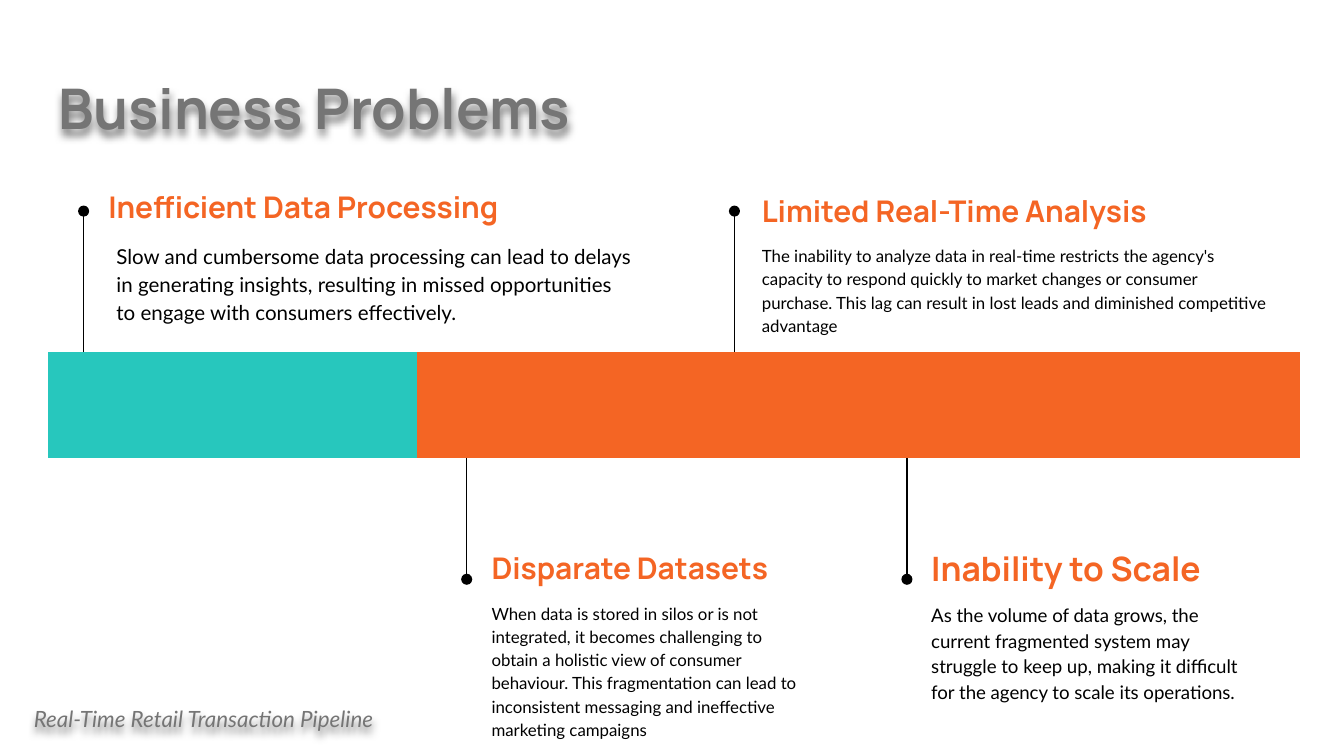
from dataclasses import dataclass

from lxml.etree import SubElement
from pptx import Presentation
from pptx.dml.color import RGBColor
from pptx.enum.shapes import MSO_CONNECTOR as Connector
from pptx.enum.text import MSO_ANCHOR as Anchor, MSO_AUTO_SIZE as AutoSize, PP_ALIGN as Align
from pptx.oxml import parse_xml
from pptx.oxml.ns import nsdecls, qn
from pptx.util import Cm, Pt

COLORS = {
    "teal": "27C7BD",
    "orange": "F46524",
    "grey": "757575",
    "black": "000000",
}
STYLES = {
    "title": {"name": "Manrope", "size": Pt(30), "bold": True},
    "heading": {"name": "Manrope", "bold": True},
    "body": {"name": "Lato"},
    "footer": {"name": "Lato", "size": Pt(12), "italic": True},
}
INSET = Cm(0.25)
BAR_LEFT, BAR_TOP, BAR_HEIGHT = 0.9, 6.65, 2.01
BAR_PARTS = [("teal", 6.98), ("orange", 16.69)]
NO_TABLE_STYLE = "{2D5ABB26-0587-4C30-8999-92F81FD0307C}"
SHADOW = (
    f'<a:effectLst {nsdecls("a")}><a:outerShdw blurRad="50800" dist="38100" dir="5400000"'
    ' algn="t" rotWithShape="0"><a:srgbClr val="000000"><a:alpha val="50000"/>'
    "</a:srgbClr></a:outerShdw></a:effectLst>"
)


@dataclass(frozen=True)
class Box:
    left: float
    top: float
    width: float
    height: float

    def lengths(self) -> list[Cm]:
        return [Cm(v) for v in (self.left, self.top, self.width, self.height)]


@dataclass(frozen=True)
class Problem:
    pin_x: float
    above: bool
    heading: str
    heading_box: Box
    heading_size: int
    body: str
    body_box: Box
    body_size: int


PROBLEMS = [
    Problem(
        1.58, True, "Inefficient Data Processing", Box(1.8, 3.28, 8.48, 1.24), 16,
        "Slow and cumbersome data processing can lead to delays in generating insights, "
        "resulting in missed opportunities to engage with consumers effectively.",
        Box(1.95, 4.29, 10.29, 2.08), 11,
    ),
    Problem(
        8.82, False, "Disparate Datasets", Box(9.04, 10.19, 6.43, 1.09), 16,
        "When data is stored in silos or is not integrated, it becomes challenging to "
        "obtain a holistic view of consumer behaviour. This fragmentation can lead to "
        "inconsistent messaging and ineffective marketing campaigns",
        Box(9.04, 11.1, 6.43, 2.82), 9,
    ),
    Problem(
        13.88, True, "Limited Real-Time Analysis", Box(14.15, 3.43, 7.95, 1.09), 16,
        "The inability to analyze data in real-time restricts the agency's capacity to "
        "respond quickly to market changes or consumer purchase. This lag can result in "
        "lost leads and diminished competitive advantage",
        Box(14.15, 4.34, 10.03, 2.08), 9,
    ),
    Problem(
        17.14, False, "Inability to Scale", Box(17.35, 10.19, 6.53, 1.09), 18,
        "As the volume of data grows, the current fragmented system may struggle to keep "
        "up, making it difficult for the agency to scale its operations.",
        Box(17.35, 11.1, 6.53, 2.64), 10,
    ),
]


def rgb(color: str) -> RGBColor:
    return RGBColor.from_string(COLORS[color])


def write(shape, box: Box, text: str, style: dict, color: str,
          anchor=Anchor.TOP, spacing: float = 1.0, shadow: bool = False) -> None:
    """Place a text shape and fill it with one formatted paragraph."""
    shape.left, shape.top, shape.width, shape.height = box.lengths()
    frame = shape.text_frame
    frame_format = {
        "word_wrap": True, "auto_size": AutoSize.NONE, "vertical_anchor": anchor,
        "margin_left": INSET, "margin_top": INSET,
        "margin_right": INSET, "margin_bottom": INSET,
    }
    for name, value in frame_format.items():
        setattr(frame, name, value)
    paragraph = frame.paragraphs[0]
    paragraph.alignment = Align.LEFT
    paragraph.line_spacing = spacing
    run = paragraph.add_run()
    run.text = text
    for name, value in style.items():
        setattr(run.font, name, value)
    run.font.color.rgb = rgb(color)
    if shadow:
        # On a shape without fill, the shadow falls from the letters.
        shape.fill.background()
        shape._element.spPr.append(parse_xml(SHADOW))


def add_text(slide, box: Box, *args, **kwargs) -> None:
    write(slide.shapes.add_textbox(*box.lengths()), box, *args, **kwargs)


def add_bar(slide) -> None:
    width = sum(part_width for _, part_width in BAR_PARTS)
    box = Box(BAR_LEFT, BAR_TOP, width, BAR_HEIGHT)
    bar = slide.shapes.add_table(1, len(BAR_PARTS), *box.lengths()).table
    bar._tbl.tblPr.find(qn("a:tableStyleId")).text = NO_TABLE_STYLE
    for index, (color, part_width) in enumerate(BAR_PARTS):
        bar.columns[index].width = Cm(part_width)
        cell = bar.cell(0, index)
        cell.fill.solid()
        cell.fill.fore_color.rgb = rgb(color)


def add_pin(slide, x: float, above: bool) -> None:
    """Draw a line from the bar's edge to a round tip."""
    start, tip = (BAR_TOP, 3.99) if above else (BAR_TOP + BAR_HEIGHT, 10.95)
    pin = slide.shapes.add_connector(Connector.STRAIGHT, Cm(x), Cm(start), Cm(x), Cm(tip))
    pin.line.color.rgb = rgb("black")
    pin.line.width = Pt(0.75)
    SubElement(pin.line._get_or_add_ln(), qn("a:tailEnd"), type="oval", w="med", len="med")
    SubElement(pin._element.spPr, qn("a:effectLst"))


def add_problem(slide, problem: Problem) -> None:
    add_pin(slide, problem.pin_x, problem.above)
    add_text(slide, problem.heading_box, problem.heading,
             STYLES["heading"] | {"size": Pt(problem.heading_size)}, "orange",
             anchor=Anchor.MIDDLE)
    add_text(slide, problem.body_box, problem.body,
             STYLES["body"] | {"size": Pt(problem.body_size)}, "black", spacing=1.15)


def main() -> None:
    deck = Presentation()
    deck.slide_width, deck.slide_height = Cm(25.4), Cm(14.29)
    slide = deck.slides.add_slide(deck.slide_layouts.get_by_name("Title Only"))
    write(slide.shapes.title, Box(0.85, 1.14, 23.67, 1.78), "Business Problems",
          STYLES["title"], "grey", shadow=True)
    add_bar(slide)
    for problem in PROBLEMS:
        add_problem(slide, problem)
    add_text(slide, Box(0.39, 13.23, 11.86, 0.71), "Real-Time Retail Transaction Pipeline",
             STYLES["footer"], "grey", anchor=Anchor.MIDDLE, shadow=True)
    deck.save("out.pptx")


if __name__ == "__main__":
    main()
